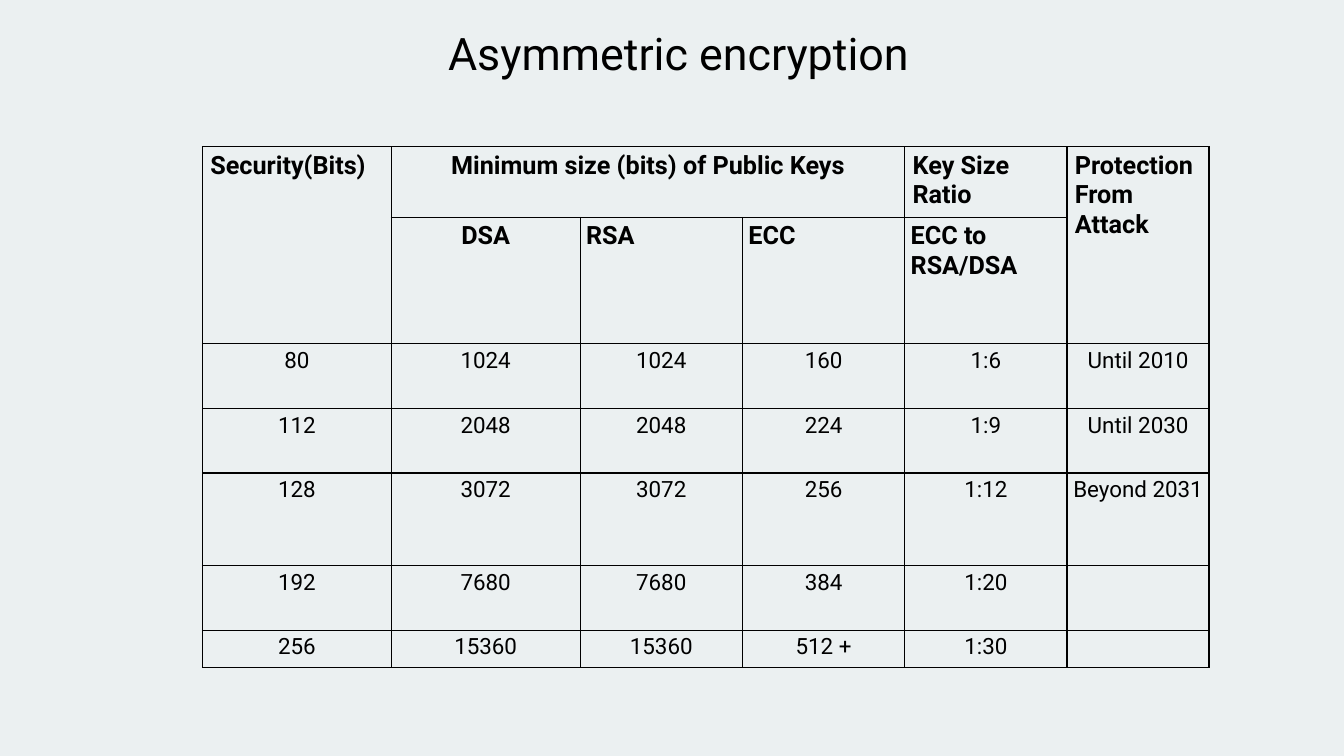
from lxml.etree import SubElement
from pptx import Presentation
from pptx.dml.color import RGBColor
from pptx.enum.text import MSO_ANCHOR, MSO_AUTO_SIZE, PP_ALIGN
from pptx.oxml.ns import qn
from pptx.util import Cm, Pt

INK, PAPER = "000000", "EBF0F1"
COLS = [4.76, 4.76, 4.09, 4.09, 4.09, 3.58]
ROWS = [1.78, 3.18, 1.63, 1.63, 2.33, 1.63, 0.93]
HEAD = [
    ["Security(Bits)", "Minimum size (bits) of Public Keys", "", "",
     "Key Size Ratio", "Protection From Attack"],
    ["", "DSA", "RSA", "ECC", "ECC to RSA/DSA", ""],
]
BODY = [
    ["80", "1024", "1024", "160", "1:6", "Until 2010"],
    ["112", "2048", "2048", "224", "1:9", "Until 2030"],
    ["128", "3072", "3072", "256", "1:12", "Beyond 2031"],
    ["192", "7680", "7680", "384", "1:20", ""],
    ["256", "15360", "15360", "512 +", "1:30", ""],
]
MERGES = [((0, 0), (1, 0)), ((0, 1), (0, 3)), ((0, 5), (1, 5))]


def color(value):
    return RGBColor.from_string(value)


def write(frame, text, size=16, bold=False, align=PP_ALIGN.CENTER):
    para = frame.paragraphs[0]
    para.alignment = align
    run = para.add_run()
    run.text = text
    font = run.font
    font.name, font.size, font.bold = "Roboto", Pt(size), bold
    font.color.rgb = color(INK)


def border(cell, width=1):
    props = cell._tc.get_or_add_tcPr()
    for side in ("a:lnL", "a:lnR", "a:lnT", "a:lnB"):
        line = SubElement(props, qn(side), w=str(Pt(width)))
        fill = SubElement(line, qn("a:solidFill"))
        SubElement(fill, qn("a:srgbClr"), val=INK)


def add_title(slide, text, left, top, width, height):
    title = slide.shapes.title
    title.left, title.top = Cm(left), Cm(top)
    title.width, title.height = Cm(width), Cm(height)
    frame = title.text_frame
    frame.auto_size = MSO_AUTO_SIZE.NONE
    frame.vertical_anchor = MSO_ANCHOR.TOP
    frame.margin_top = Cm(0.23)
    write(frame, text, size=32)


def add_keys(slide, left, top):
    """Draw the table of key sizes with its two merged heading rows."""
    table = slide.shapes.add_table(
        len(ROWS), len(COLS), Cm(left), Cm(top),
        Cm(sum(COLS)), Cm(sum(ROWS))).table
    table.first_row = table.horz_banding = False
    for col, width in zip(table.columns, COLS):
        col.width = Cm(width)
    for row, height in zip(table.rows, ROWS):
        row.height = Cm(height)
    for start, end in MERGES:
        table.cell(*start).merge(table.cell(*end))

    for r, texts in enumerate(HEAD + BODY):
        head = r < len(HEAD)
        for c, text in enumerate(texts):
            cell = table.cell(r, c)
            cell.margin_left = cell.margin_right = Cm(0.15 if r else 0.2)
            cell.margin_top = cell.margin_bottom = Cm(0.1)
            border(cell)
            cell.fill.background()
            if cell.is_spanned:
                continue
            left_set = head and c != 1
            write(cell.text_frame, text, size=18 if head else 16, bold=head,
                  align=PP_ALIGN.LEFT if left_set else PP_ALIGN.CENTER)


def main():
    deck = Presentation()
    deck.slide_width, deck.slide_height = Cm(33.87), Cm(19.05)
    slide = deck.slides.add_slide(deck.slide_layouts[5])
    back = slide.background.fill
    back.solid()
    back.fore_color.rgb = color(PAPER)
    add_title(slide, "Asymmetric encryption ", 4.14, 0.41, 26.21, 2.36)
    add_keys(slide, 5.1, 3.7)
    deck.save("out.pptx")


if __name__ == "__main__":
    main()
